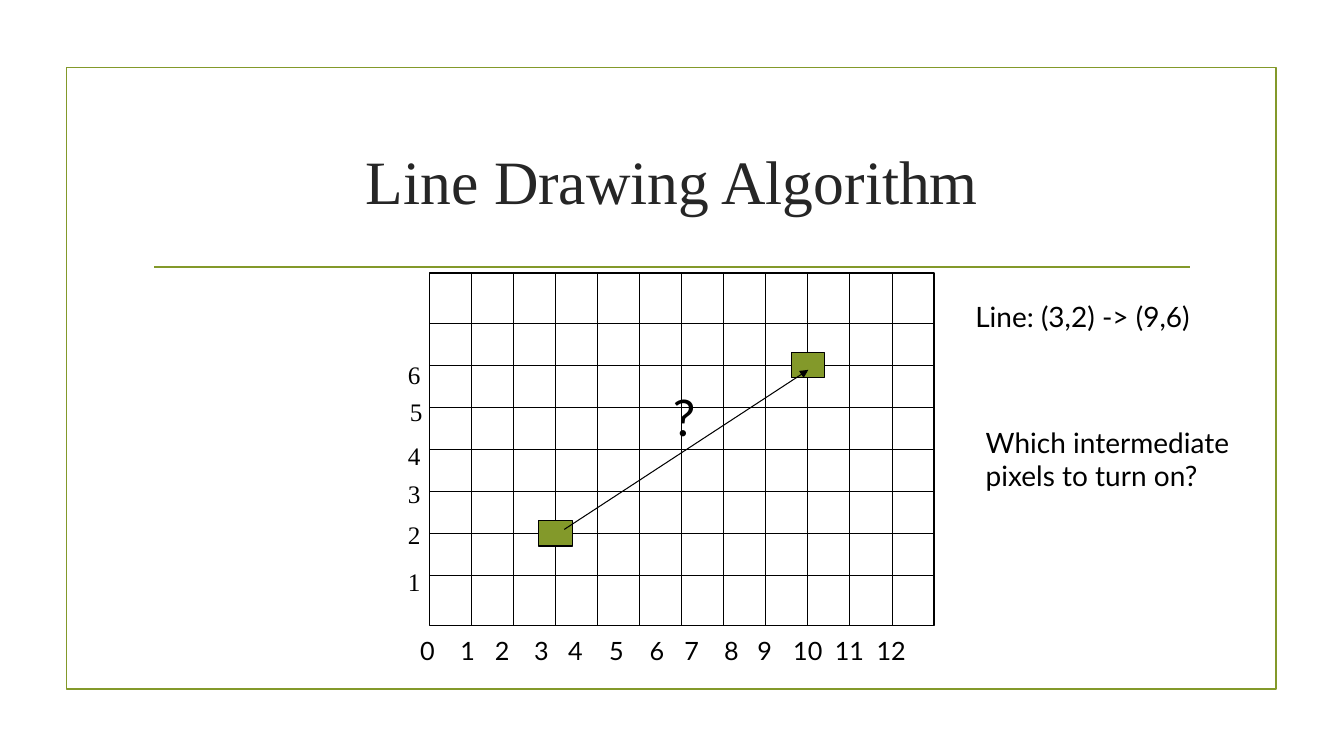
"""Build the Line Drawing Algorithm slide: a pixel grid with a line between two pixels."""
from lxml import etree
from pptx import Presentation
from pptx.dml.color import RGBColor
from pptx.enum.shapes import MSO_CONNECTOR, MSO_SHAPE
from pptx.enum.text import MSO_ANCHOR, PP_ALIGN
from pptx.oxml.ns import qn
from pptx.util import Cm, Pt

STRAIGHT, RECT = MSO_CONNECTOR.STRAIGHT, MSO_SHAPE.RECTANGLE
TOP, MIDDLE = MSO_ANCHOR.TOP, MSO_ANCHOR.MIDDLE
LEFT, CENTER = PP_ALIGN.LEFT, PP_ALIGN.CENTER

COLORS = {"green": "83992A", "black": "000000", "title": "262626"}
SERIF, SANS = "Times New Roman", "Lato"

GRID_X, GRID_Y, GRID_W, GRID_H = 10.82, 6.88, 12.72, 8.89
CELL, COLUMNS, ROWS = 1.06, 12, 7
ROW_ZERO = 15.56
PIXEL_W, PIXEL_H = 0.84, 0.64


def add_line(x1, y1, x2, y2, color="black", width=0.75):
    """Add a straight line without a shadow and return it."""
    c = s.shapes.add_connector(STRAIGHT, Cm(x1), Cm(y1), Cm(x2), Cm(y2))
    c.line.color.rgb = RGBColor.from_string(COLORS[color])
    c.line.width = Pt(width)
    etree.SubElement(c._element.spPr, qn("a:effectLst"))
    return c


def add_text(x, y, w, h, lines, size, font, color="black", align=LEFT, anchor=TOP):
    """Add a text box with one paragraph per line and return its text frame."""
    tf = s.shapes.add_textbox(Cm(x), Cm(y), Cm(w), Cm(h)).text_frame
    tf.word_wrap = True
    tf.vertical_anchor = anchor
    for i, line in enumerate(lines):
        p = tf.paragraphs[0] if i == 0 else tf.add_paragraph()
        p.alignment = align
        r = p.add_run()
        r.text = line
        for name, value in {"size": Pt(size), "name": font}.items():
            setattr(r.font, name, value)
        r.font.color.rgb = RGBColor.from_string(COLORS[color])
    return tf


prs = Presentation()
prs.slide_width, prs.slide_height = Cm(33.87), Cm(19.05)
s = prs.slides.add_slide(prs.slide_layouts[6])

pixels = [
    (GRID_X + col * CELL - PIXEL_W / 2, ROW_ZERO - row * CELL - PIXEL_H / 2,
     PIXEL_W, PIXEL_H, "green", "black", 0.75)
    for col, row in [(3, 2), (9, 6)]
]
frame = (1.68, 1.7, 30.48, 15.67, None, "green", 1.25)
grid_border = (GRID_X, GRID_Y, GRID_W, GRID_H, None, "black", 0.75)

add_line(3.89, 6.73, 30, 6.73, "green", 1.25)
add_text(3.61, 2.72, 26.67, 3.63, ["Line Drawing Algorithm"], 44, SERIF,
         "title", CENTER, MIDDLE)

for col in range(1, COLUMNS):
    x = GRID_X + col * CELL
    add_line(x, GRID_Y, x, GRID_Y + GRID_H)
for row in range(1, ROWS + 1):
    y = ROW_ZERO - row * CELL
    add_line(GRID_X, y, GRID_X + GRID_W, y)

for x, y, w, h, fill, line, width in [frame, grid_border, *pixels]:
    sp = s.shapes.add_shape(RECT, Cm(x), Cm(y), Cm(w), Cm(h))
    sp.shadow.inherit = False
    sp.line.color.rgb = RGBColor.from_string(COLORS[line])
    sp.line.width = Pt(width)
    if fill:
        sp.fill.solid()
        sp.fill.fore_color.rgb = RGBColor.from_string(COLORS[fill])
    else:
        sp.fill.background()

arrow = add_line(14.22, 13.34, 20.37, 9.32)
etree.SubElement(arrow.line._get_or_add_ln(), qn("a:tailEnd"), type="triangle")

x_labels = "\t".join(str(n) for n in range(13))
tf = add_text(10.34, 15.88, 14, 1.02, [x_labels], 18, SANS)
tabs = etree.SubElement(tf.paragraphs[0]._p.get_or_add_pPr(), qn("a:tabLst"))
for stop in [1.01, 1.88, 2.87, 3.73, 4.76, 5.78, 6.66, 7.66, 8.5, 9.4, 10.45, 11.5]:
    etree.SubElement(tabs, qn("a:tab"), pos=str(Cm(stop)), algn="l")

y_labels = [(10.03, 14.15), (10.03, 12.95), (10.03, 11.94),
            (10.03, 10.97), (10.08, 9.86), (10.03, 8.94)]
for n, (x, y) in enumerate(y_labels, 1):
    add_text(x, y, 0.76, 1.02, [str(n)], 18, SERIF)

add_text(16.71, 9.6, 1.12, 1.78, ["?"], 36, SANS)
add_text(24.33, 7.42, 6.5, 1.09, ["Line: (3,2) -> (9,6)"], 20, SANS)
add_text(24.59, 10.59, 6.78, 1.96, ["Which intermediate", "pixels to turn on?"], 20, SANS)

prs.save("out.pptx")
